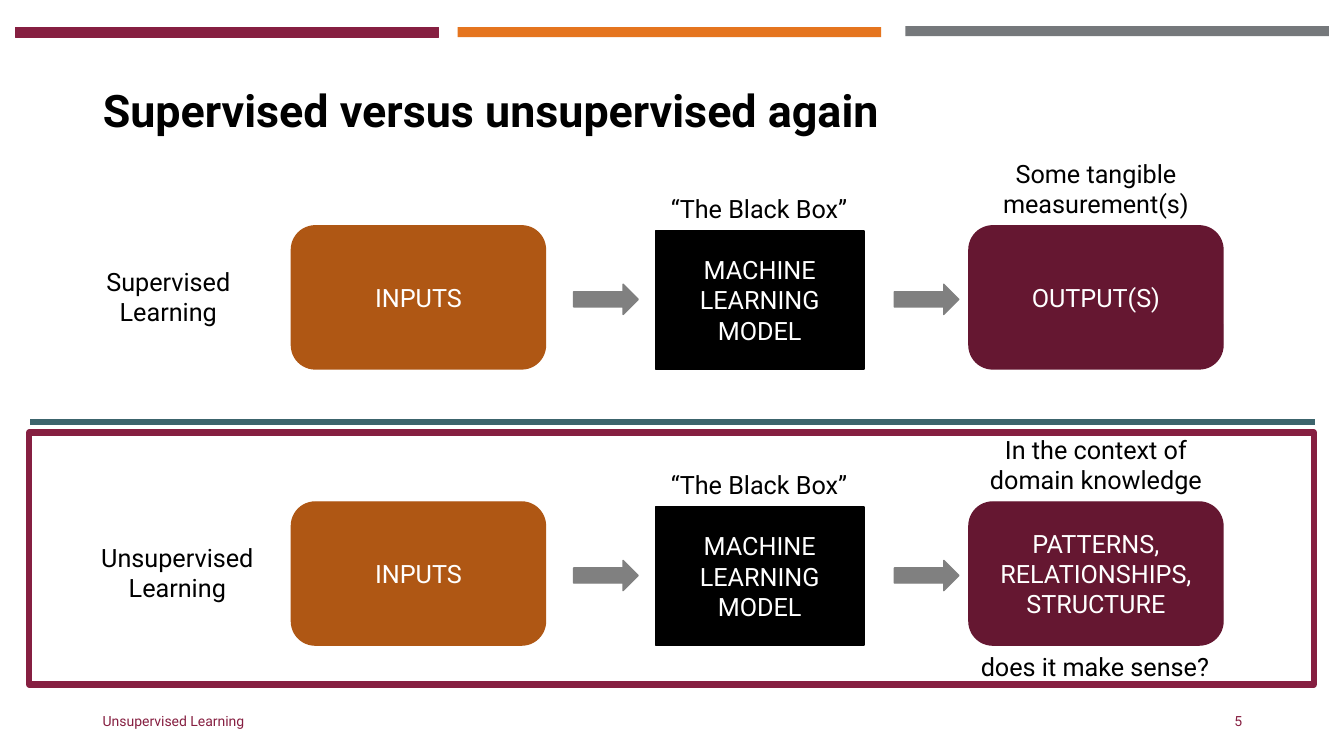
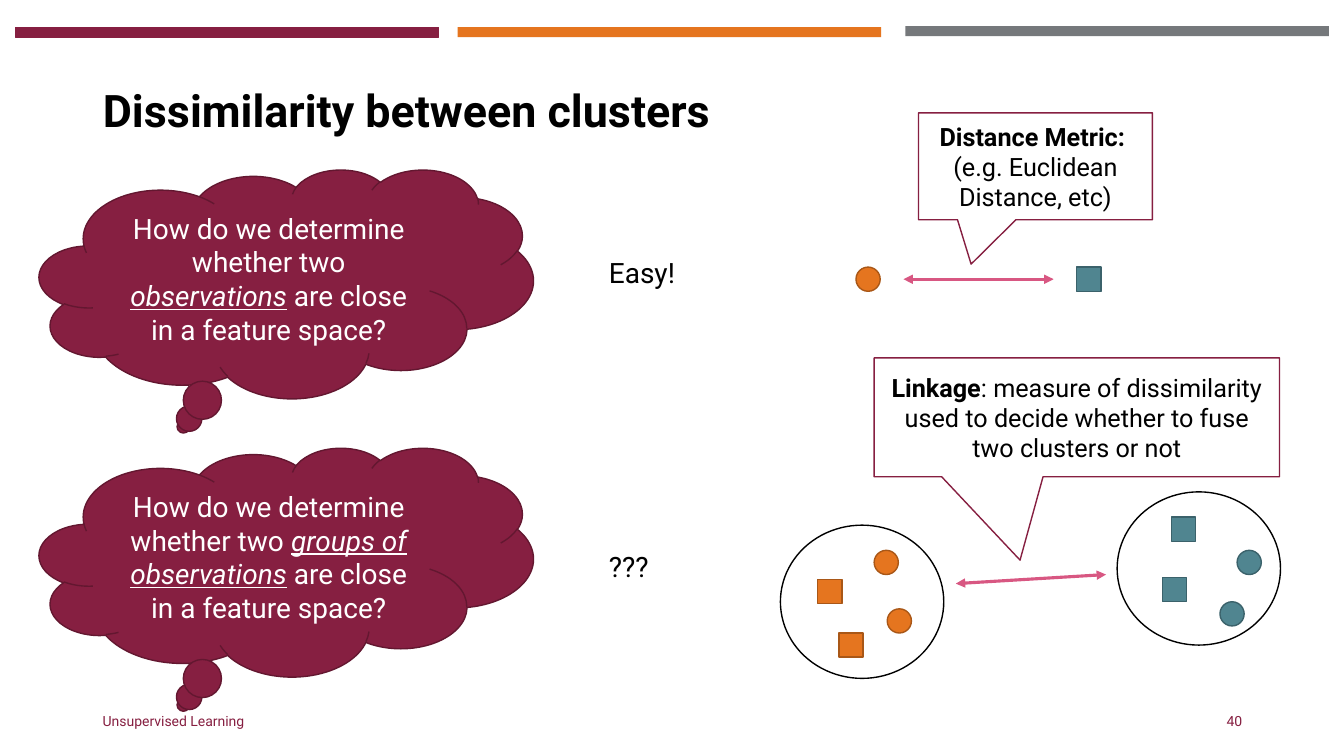
from lxml import etree
from pptx import Presentation, util as u
from pptx.dml import color
from pptx.enum import shapes, text
from pptx.oxml import ns

COLORS = {
    "maroon": "861F41", "dark maroon": "651731", "cloud edge": "631730",
    "orange": "E5751F", "dark orange": "AF5714", "orange edge": "A95717",
    "teal": "508590", "teal edge": "3B626B", "divider": "3C646C",
    "band gray": "75787B", "arrow gray": "808080", "pink": "D85782",
    "black": "000000", "white": "FFFFFF",
}
FONT = "Roboto"
FOOTER = "Unsupervised Learning"
SHAPE = shapes.MSO_SHAPE
ALIGN = text.PP_ALIGN
ANCHOR = text.MSO_ANCHOR


def rgb(name):
    return color.RGBColor.from_string(COLORS[name])


def write_text(frame, content, size=18, ink="black", bold=False,
               align=ALIGN.CENTER, anchor=ANCHOR.MIDDLE, spacing=None):
    """Each paragraph is a string or a list of (words, marks), marks from "biu"."""
    frame.word_wrap = True
    frame.auto_size = text.MSO_AUTO_SIZE.NONE
    frame.vertical_anchor = anchor
    paragraphs = [content] if isinstance(content, str) else content
    for index, runs in enumerate(paragraphs):
        paragraph = frame.add_paragraph() if index else frame.paragraphs[0]
        paragraph.alignment = align
        if spacing:
            paragraph.line_spacing = spacing
        for words, marks in [(runs, "")] if isinstance(runs, str) else runs:
            run = paragraph.add_run()
            run.text = words
            font = run.font
            font.name, font.size = FONT, u.Pt(size)
            font.color.rgb = rgb(ink)
            font.bold = bold or "b" in marks
            font.italic = "i" in marks
            font.underline = "u" in marks


class Deck:
    def __init__(self):
        self.presentation = Presentation()
        self.presentation.slide_width = u.Inches(13.33)
        self.presentation.slide_height = u.Inches(7.5)
        self.slide = None

    def start_slide(self, title, number):
        """Add a slide with the shared bands, title and footer."""
        layout = self.presentation.slide_layouts[5]
        self.slide = self.presentation.slides.add_slide(layout)
        self.shape(SHAPE.RECTANGLE, 0.15, 0.27, 4.2, 0.1, "maroon", "maroon", 0.75)
        self.shape(SHAPE.RECTANGLE, 4.54, 0.27, 4.2, 0.1, "orange")
        self.shape(SHAPE.RECTANGLE, 8.98, 0.26, 4.2, 0.1, "band gray")
        heading = self.slide.shapes.title
        heading.left, heading.top = u.Inches(0.92), u.Inches(0.4)
        heading.width, heading.height = u.Inches(11.5), u.Inches(1.45)
        write_text(heading.text_frame, title, size=32, bold=True,
                   align=ALIGN.LEFT, spacing=0.9)
        footer = dict(size=10, ink="maroon", anchor=ANCHOR.MIDDLE)
        self.label(FOOTER, 0.92, 6.95, 4.5, 0.4, align=ALIGN.LEFT, **footer)
        self.label(number, 9.42, 6.95, 3, 0.4, align=ALIGN.RIGHT, **footer)

    def shape(self, kind, left, top, width, height, fill=None, edge=None,
              weight=1, content=None, adjust=(), **style):
        shape = self.slide.shapes.add_shape(
            kind, *map(u.Inches, (left, top, width, height)))
        shape.shadow.inherit = False
        for index, value in enumerate(adjust):
            shape.adjustments[index] = value
        if fill:
            shape.fill.solid()
            shape.fill.fore_color.rgb = rgb(fill)
        else:
            shape.fill.background()
        if edge:
            shape.line.color.rgb = rgb(edge)
            shape.line.width = u.Pt(weight)
        else:
            shape.line.fill.background()
        if content:
            write_text(shape.text_frame, content, **style)

    def label(self, content, left, top, width, height, anchor=ANCHOR.TOP, **style):
        box = self.slide.shapes.add_textbox(
            *map(u.Inches, (left, top, width, height)))
        write_text(box.text_frame, content, anchor=anchor, **style)

    def line(self, start, end, ink, weight, arrows=False):
        connector = self.slide.shapes.add_connector(
            shapes.MSO_CONNECTOR.STRAIGHT, *map(u.Inches, (*start, *end)))
        connector.line.color.rgb = rgb(ink)
        connector.line.width = u.Pt(weight)
        if arrows:
            outline = connector.line._get_or_add_ln()
            for tag in ("a:headEnd", "a:tailEnd"):
                etree.SubElement(outline, ns.qn(tag), type="triangle")
        etree.SubElement(connector._element.spPr, ns.qn("a:effectLst"))

    def flow(self, top, name, name_left, result, caption):
        """One row: name, inputs, model and result, joined by arrows."""
        self.label(name, name_left, top + 0.35, 1.9, 0.71)
        self.label("“The Black Box”", 6.25, top - 0.37, 2.56, 0.4)
        self.label(caption, 9.61, top - 0.72, 2.52, 0.71)
        self.shape(SHAPE.ROUNDED_RECTANGLE, 2.89, top, 2.52, 1.42, "dark orange",
                   "dark orange", content="INPUTS", ink="white")
        self.shape(SHAPE.RECTANGLE, 6.5, top + 0.05, 2.07, 1.37, "black", "black",
                   content="MACHINE LEARNING MODEL", ink="white")
        self.shape(SHAPE.ROUNDED_RECTANGLE, 9.61, top, 2.52, 1.42, "dark maroon",
                   "dark maroon", content=result, ink="white")
        for left in (5.69, 8.87):
            self.shape(SHAPE.RIGHT_ARROW, left, top + 0.58, 0.64, 0.3,
                       "arrow gray", "arrow gray")

    def question(self, top, subject):
        runs = [("How do we determine whether two ", ""), (subject, "iu"),
                (" are close in a feature space?", "")]
        self.shape(SHAPE.CLOUD_CALLOUT, 0.39, top, 4.9, 2.27, "maroon",
                   "cloud edge", content=[runs], size=20, ink="white")

    def callout(self, left, top, width, height, adjust, content):
        self.shape(SHAPE.RECTANGULAR_CALLOUT, left, top, width, height, "white",
                   "maroon", content=content, adjust=adjust)

    def points(self, kind, hue, places):
        for left, top in places:
            self.shape(kind, left, top, 0.24, 0.24, hue, hue + " edge")

    def cluster(self, left, top, hue, squares, circles):
        self.points(SHAPE.RECTANGLE, hue, squares)
        self.points(SHAPE.OVAL, hue, circles)
        self.shape(SHAPE.OVAL, left, top, 1.62, 1.52, edge="black")


def build_comparison(deck):
    deck.start_slide("Supervised versus unsupervised again", "5")
    deck.flow(2.24, "Supervised Learning", 0.72, "OUTPUT(S)",
              "Some tangible measurement(s)")
    deck.flow(4.98, "Unsupervised Learning", 0.81,
              ["PATTERNS,", "RELATIONSHIPS, STRUCTURE"],
              "In the context of domain knowledge")
    deck.label("does it make sense?", 9.45, 6.41, 2.82, 0.4)
    # Divider and highlight frame
    deck.line((0.3, 4.19), (13.04, 4.19), "divider", 4.5)
    deck.shape(SHAPE.RECTANGLE, 0.29, 4.29, 12.74, 2.5, edge="maroon", weight=4.5)


def build_dissimilarity(deck):
    deck.start_slide("Dissimilarity between clusters", "40")
    # Questions and answers
    deck.question(1.68, "observations")
    deck.question(4.44, "groups of observations")
    for answer, top in (("Easy!", 2.49), ("???", 5.4)):
        deck.label(answer, 5.94, top, 1.62, 0.44, size=20, align=ALIGN.LEFT)
    # Two single observations
    deck.points(SHAPE.OVAL, "orange", [(8.49, 2.65)])
    deck.points(SHAPE.RECTANGLE, "teal", [(10.68, 2.65)])
    deck.line((10.45, 2.77), (8.96, 2.77), "pink", 2.25, arrows=True)
    deck.callout(9.11, 1.12, 2.32, 1.06, (-0.275, 0.916),
                 [[("Distance Metric: ", "b")], "(e.g. Euclidean Distance, etc)"])
    # Two clusters
    deck.cluster(7.74, 5.21, "orange", [(8.32, 6.28), (8.11, 5.75)],
                 [(8.67, 5.46), (8.8, 6.04)])
    deck.cluster(11.08, 4.88, "teal", [(11.53, 5.73), (11.62, 5.13)],
                 [(12.27, 5.46), (12.1, 5.97)])
    deck.line((10.97, 5.7), (9.48, 5.79), "pink", 2.25, arrows=True)
    deck.callout(8.67, 3.55, 4.02, 1.18, (-0.14, 1.201),
                 [[("Linkage", "b"), (": measure of dissimilarity used to decide "
                                      "whether to fuse two clusters or not", "")]])


def main():
    deck = Deck()
    build_comparison(deck)
    build_dissimilarity(deck)
    deck.presentation.save("out.pptx")


if __name__ == "__main__":
    main()
